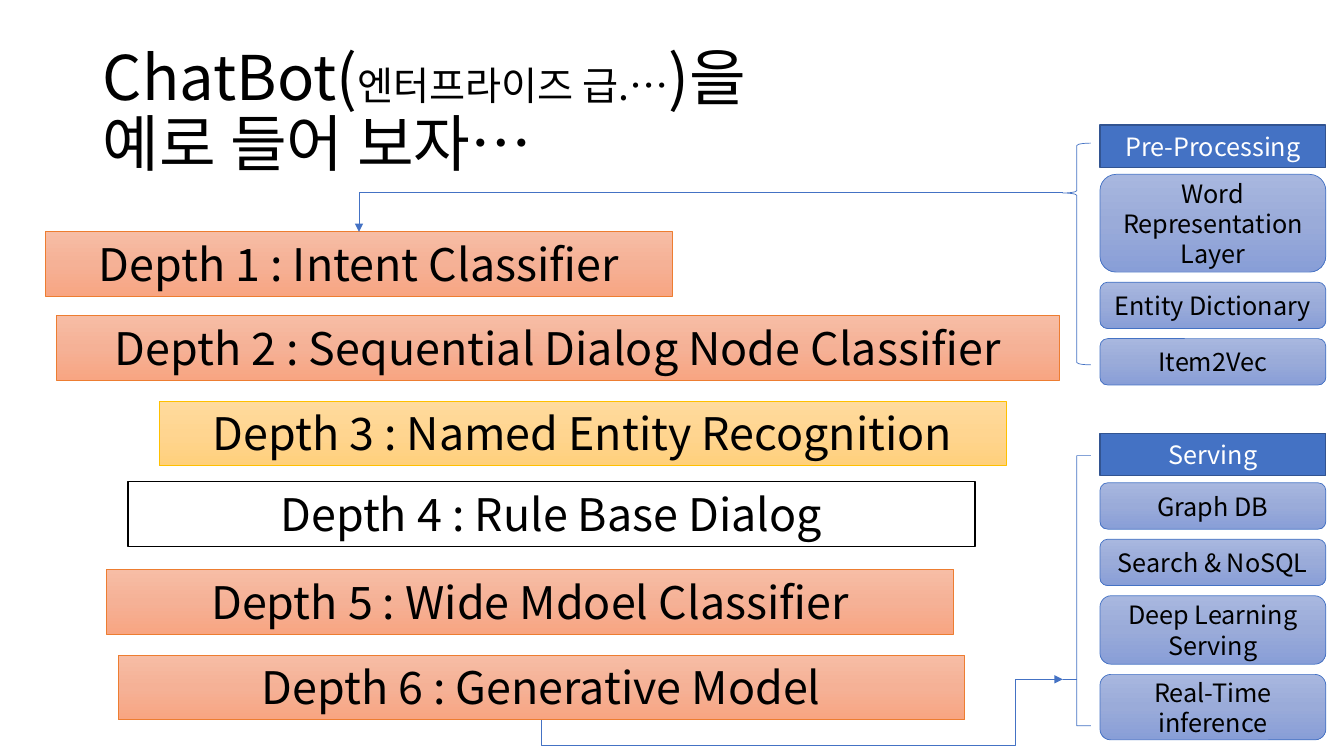
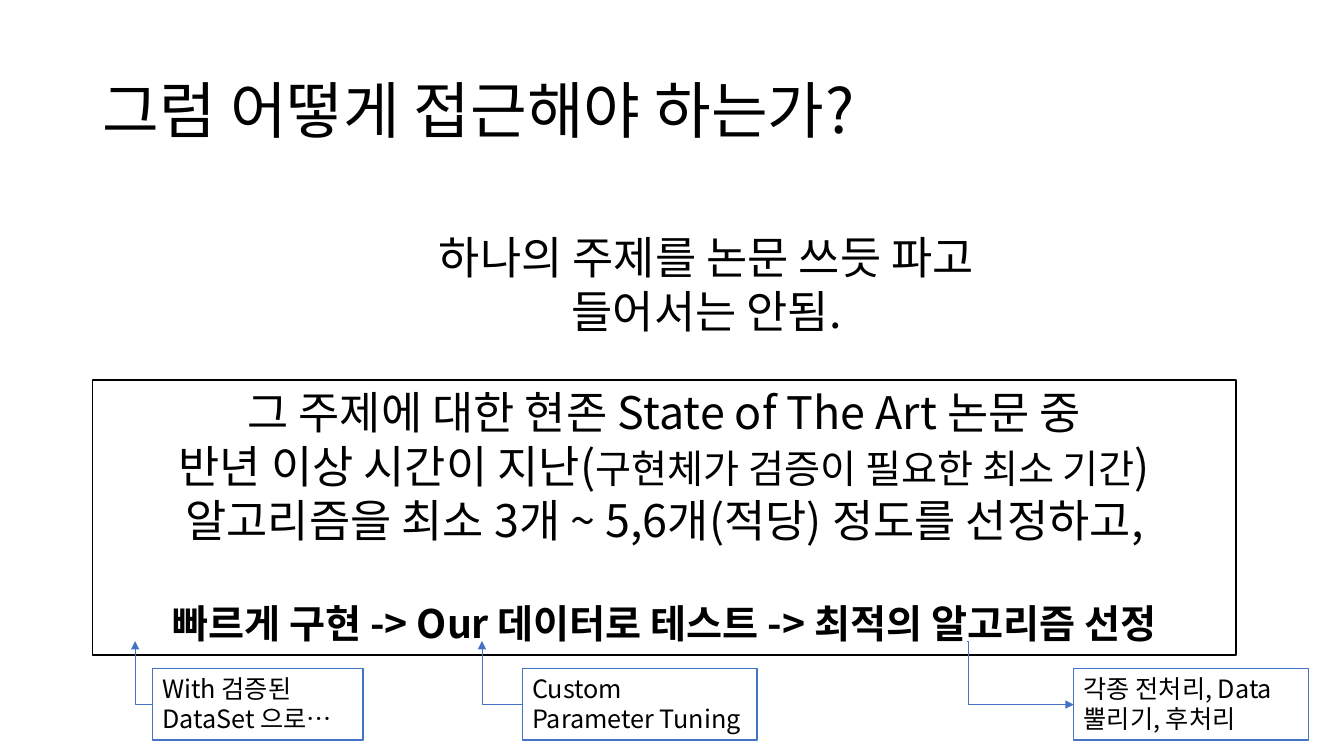
from copy import deepcopy
from math import cos, radians, sin

from pptx import Presentation
from pptx.dml.color import RGBColor
from pptx.enum.shapes import MSO_CONNECTOR as Link, MSO_SHAPE as Preset
from pptx.enum.text import MSO_ANCHOR as Anchor, MSO_AUTO_SIZE as AutoSize, PP_ALIGN as Align
from pptx.oxml.ns import qn
from pptx.util import Inches, Pt

FONT = "Noto Sans CJK KR"
BLACK, WHITE, BLUE, NAVY = "000000", "FFFFFF", "4472C4", "325491"
ORANGE, GOLD = "ED7D31", "FFC000"
ORANGE_FADE = ("F7BDA5", "F5B196", "F8A582")
GOLD_FADE = ("FFDB9E", "FFD590", "FFD07C")
BLUE_FADE = ("A8B7DF", "9AABD9", "889ED7")
SIDE_LEFT, SIDE_WIDTH = 10.91, 2.24
HEADER_HEIGHT, HEADER_GAP, ITEM_GAP = 0.42, 0.07, 0.1
BRACE_LEFT, BRACE_WIDTH = 10.54, 0.28
DEPTH_HEIGHT = 0.64
NOTE_TOP, NOTE_HEIGHT, NOTE_MIDDLE, POINT_Y = 6.63, 0.71, 6.99, 6.36


def rgb(value):
    """Turn a hex string into a colour."""
    return RGBColor.from_string(value)


def add_run(paragraph, text, size, color=BLACK, bold=False):
    """Add one run in the deck font for Latin and Korean text."""
    run = paragraph.add_run()
    run.text = text
    font = run.font
    font.size, font.bold, font.name = Pt(size), bold, FONT
    font.color.rgb = rgb(color)
    run._r.get_or_add_rPr().makeelement
    east_asian = run._r.rPr.makeelement(qn("a:ea"), {"typeface": FONT})
    run._r.rPr.append(east_asian)


def write_lines(frame, lines, size, color=BLACK, align=Align.CENTER):
    """Write each line as a paragraph of its own."""
    for index, line in enumerate(lines):
        paragraph = frame.paragraphs[0] if index == 0 else frame.add_paragraph()
        paragraph.alignment = align
        add_run(paragraph, line, size, color)


def set_title(slide, lines):
    """Place the title and write its lines of (text, size) runs."""
    title = slide.shapes.title
    title.left, title.top = Inches(0.92), Inches(0.4)
    title.width, title.height = Inches(11.5), Inches(1.45)
    frame = title.text_frame
    frame.word_wrap, frame.auto_size = True, AutoSize.NONE
    frame.vertical_anchor = Anchor.MIDDLE
    paragraph = frame.paragraphs[0]
    paragraph.alignment, paragraph.line_spacing = Align.LEFT, 0.9
    for index, line in enumerate(lines):
        if index:
            paragraph.add_line_break()
        for text, size in line:
            add_run(paragraph, text, size)


def paint(shape, fill):
    """Fill with a hex colour, a three-stop fade, or nothing."""
    if fill is None:
        shape.fill.background()
    elif isinstance(fill, str):
        shape.fill.solid()
        shape.fill.fore_color.rgb = rgb(fill)
    else:
        shape.fill.gradient()
        shape.fill.gradient_angle = 270
        stops = shape._element.spPr.find(qn("a:gradFill")).find(qn("a:gsLst"))
        stops.insert(1, deepcopy(stops[0]))
        for stop, color, position in zip(shape.fill.gradient_stops, fill, (0, 0.5, 1)):
            stop.color.rgb = rgb(color)
            stop.position = position


def add_box(slide, preset, box, fill, line=None, weight=1.0, grow=False):
    """Add a flat preset shape at (left, top, width, height)."""
    shape = slide.shapes.add_shape(preset, *map(Inches, box))
    shape.shadow.inherit = False
    paint(shape, fill)
    if line:
        shape.line.color.rgb = rgb(line)
        shape.line.width = Pt(weight)
    else:
        shape.line.fill.background()
    frame = shape.text_frame
    frame.word_wrap = True
    frame.vertical_anchor = Anchor.TOP if grow else Anchor.MIDDLE
    frame.auto_size = AutoSize.SHAPE_TO_FIT_TEXT if grow else AutoSize.NONE
    return shape


def add_elbow(slide, start, end, preset, turn=0, bends=()):
    """Add a bent arrow whose preset path is turned by some degrees."""
    mid_x, mid_y = (start[0] + end[0]) / 2, (start[1] + end[1]) / 2
    cosine, sine = cos(radians(turn)), sin(radians(turn))
    unturned = []
    for x, y in (start, end):
        dx, dy = x - mid_x, y - mid_y
        unturned += [mid_x + dx * cosine + dy * sine, mid_y + dy * cosine - dx * sine]
    arrow = slide.shapes.add_connector(Link.ELBOW, *map(Inches, unturned))
    arrow.line.color.rgb = rgb(BLUE)
    arrow.line.width = Pt(0.5)
    properties = arrow._element.spPr
    if turn:
        properties.find(qn("a:xfrm")).set("rot", str(turn * 60000))
    geometry = properties.find(qn("a:prstGeom"))
    geometry.set("prst", preset)
    guides = geometry.find(qn("a:avLst"))
    for number, bend in enumerate(bends, 1):
        formula = f"val {round(bend * 100000)}"
        guides.append(guides.makeelement(qn("a:gd"), {"name": f"adj{number}", "fmla": formula}))
    outline = arrow.line._get_or_add_ln()
    outline.append(outline.makeelement(qn("a:tailEnd"), {"type": "triangle"}))
    properties.append(properties.makeelement(qn("a:effectLst"), {}))


def add_depth(slide, left, top, width, text, fill, line, weight=0.5):
    """Add one bar of the dialog cascade."""
    box = (left, top, width, DEPTH_HEIGHT)
    bar = add_box(slide, Preset.RECTANGLE, box, fill, line, weight, grow=True)
    write_lines(bar.text_frame, [text], 32)


def add_stack(slide, top, heading, items):
    """Add a side heading with its rounded items stacked below."""
    header_box = (SIDE_LEFT, top, SIDE_WIDTH, HEADER_HEIGHT)
    header = add_box(slide, Preset.RECTANGLE, header_box, BLUE, NAVY)
    write_lines(header.text_frame, [heading], 18, WHITE)
    top += HEADER_HEIGHT + HEADER_GAP
    for lines, height in items:
        box = (SIDE_LEFT, top, SIDE_WIDTH, height)
        item = add_box(slide, Preset.ROUNDED_RECTANGLE, box, BLUE_FADE, BLUE, 0.5)
        write_lines(item.text_frame, lines, 18)
        top += height + ITEM_GAP


def add_brace(slide, top, height, curl, point):
    """Add the brace that gathers a side stack."""
    box = (BRACE_LEFT, top, BRACE_WIDTH, height)
    brace = add_box(slide, Preset.LEFT_BRACE, box, None, BLUE, 0.5)
    brace.adjustments[0], brace.adjustments[1] = curl, point


def add_note(slide, left, width, lines):
    """Add a small outlined note along the bottom."""
    box = (left, NOTE_TOP, width, NOTE_HEIGHT)
    note = add_box(slide, Preset.RECTANGLE, box, WHITE, BLUE, grow=True)
    write_lines(note.text_frame, lines, 18, align=Align.LEFT)


def build_chatbot(slide):
    """Build the chatbot architecture slide."""
    set_title(slide, [
        [("ChatBot(", 44), ("엔터프라이즈 급.…", 28), (")을 ", 44)],
        [("예로 들어 보자…", 44)],
    ])
    add_depth(slide, 0.45, 2.3, 6.22, "Depth 1 : Intent Classifier", ORANGE_FADE, ORANGE)
    add_depth(slide, 0.56, 3.13, 9.95, "Depth 2 : Sequential Dialog Node Classifier",
              ORANGE_FADE, ORANGE)
    add_depth(slide, 1.58, 3.98, 8.4, "Depth 3 : Named Entity Recognition", GOLD_FADE, GOLD)
    add_depth(slide, 1.27, 4.78, 8.4, "Depth 4 : Rule Base Dialog", WHITE, BLACK, 1)
    add_depth(slide, 1.06, 5.65, 8.4, "Depth 5 : Wide Mdoel Classifier", ORANGE_FADE, ORANGE)
    add_depth(slide, 1.17, 6.5, 8.4, "Depth 6 : Generative Model", ORANGE_FADE, ORANGE)
    add_stack(slide, 1.24, "Pre-Processing", [
        (["Word", "Representation", "Layer"], 0.97),
        (["Entity Dictionary"], 0.46),
        (["Item2Vec"], 0.46),
    ])
    add_stack(slide, 4.3, "Serving", [
        (["Graph DB"], 0.46),
        (["Search & NoSQL"], 0.46),
        (["Deep Learning Serving"], 0.68),
        (["Real-Time inference"], 0.65),
    ])
    add_brace(slide, 1.42, 2.2, 0.083, 0.225)
    add_brace(slide, 4.52, 2.68, 0, 0.829)
    add_elbow(slide, (BRACE_LEFT, 1.91), (3.56, 2.3), "bentConnector2", 180)
    add_elbow(slide, (5.37, 7.14), (BRACE_LEFT, 6.74), "bentConnector4", 90, (-0.63, 0.91))


def build_approach(slide):
    """Build the slide on how to choose an algorithm."""
    set_title(slide, [[("그럼 어떻게 접근해야 하는가?", 44)]])
    warning = add_box(slide, Preset.RECTANGLE, (3.61, 2.23, 6.8, 1.18), WHITE, grow=True)
    write_lines(warning.text_frame, ["하나의 주제를 논문 쓰듯 파고 들어서는 안됨."], 32)

    advice = add_box(slide, Preset.RECTANGLE, (0.92, 3.77, 11.34, 2.73), WHITE, BLACK, grow=True)
    frame = advice.text_frame
    write_lines(frame, ["그 주제에 대한 현존 State of The Art 논문 중", "반년 이상 시간이 지난("], 32)
    add_run(frame.paragraphs[1], "구현체가 검증이 필요한 최소 기간", 28)
    add_run(frame.paragraphs[1], ")", 32)
    selection, steps = frame.add_paragraph(), frame.add_paragraph()
    selection.alignment = steps.alignment = Align.CENTER
    add_run(selection, "알고리즘을 최소 3개 ~ 5,6개(적당) 정도를 선정하고,", 32)
    steps.space_before = Pt(38)
    add_run(steps, "빠르게 구현 -> Our 데이터로 테스트 -> 최적의 알고리즘 선정", 28, bold=True)

    add_note(slide, 1.51, 2.09, ["With 검증된 DataSet 으로…"])
    add_note(slide, 5.18, 2.33, ["Custom", "Parameter Tuning"])
    add_note(slide, 10.65, 2.33, ["각종 전처리, Data 뿔리기, 후처리"])
    for note_left, point_x in ((1.51, 1.34), (5.18, 4.78)):
        add_elbow(slide, (note_left, NOTE_MIDDLE), (point_x, POINT_Y), "bentConnector2", 180)
    add_elbow(slide, (9.59, POINT_Y), (10.65, NOTE_MIDDLE), "bentConnector3", bends=(0.01,))


def main():
    """Build and save the deck."""
    deck = Presentation()
    deck.slide_width, deck.slide_height = Inches(13.33), Inches(7.5)
    title_only = deck.slide_layouts[5]
    for build in (build_chatbot, build_approach):
        build(deck.slides.add_slide(title_only))
    deck.save("out.pptx")


if __name__ == "__main__":
    main()
